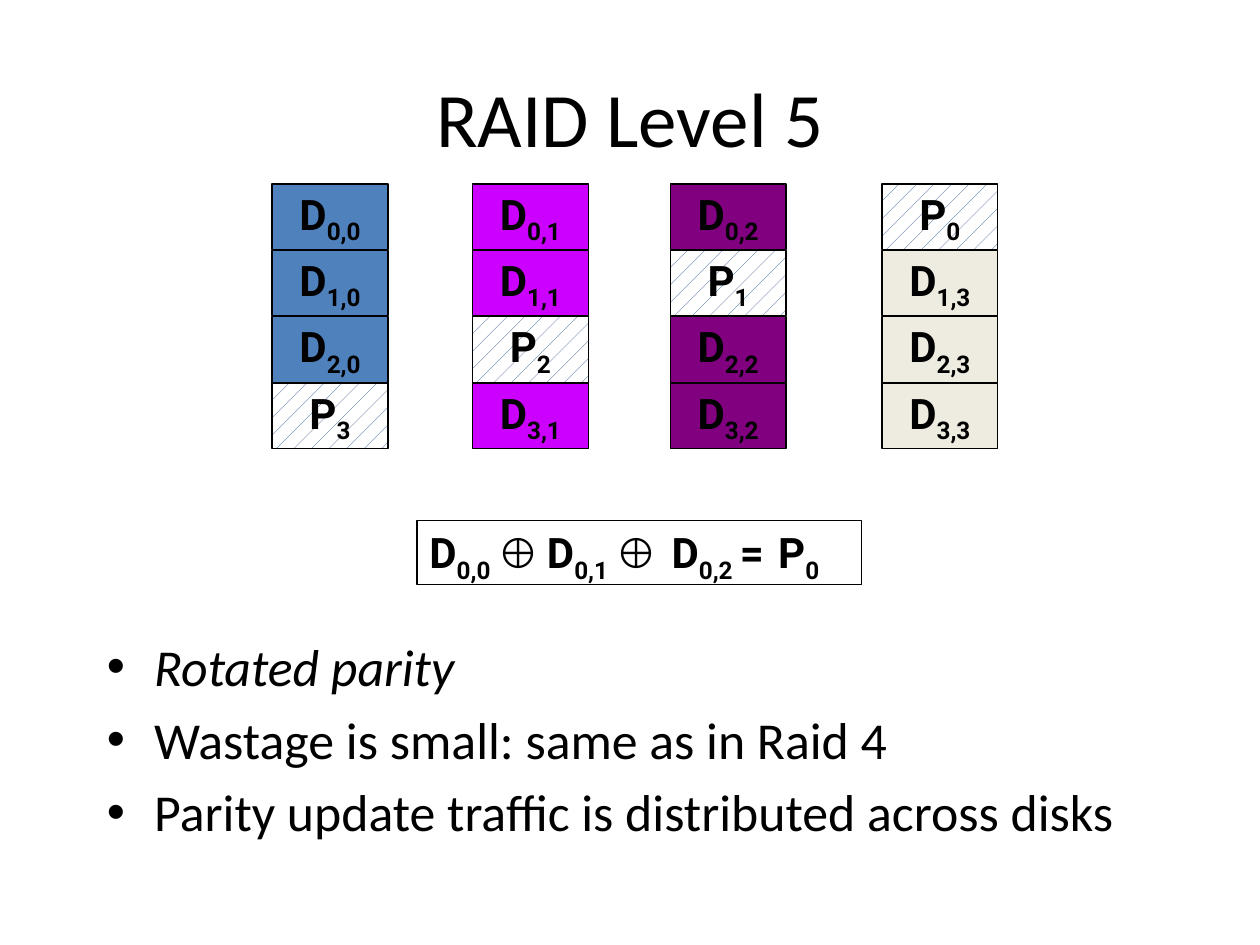
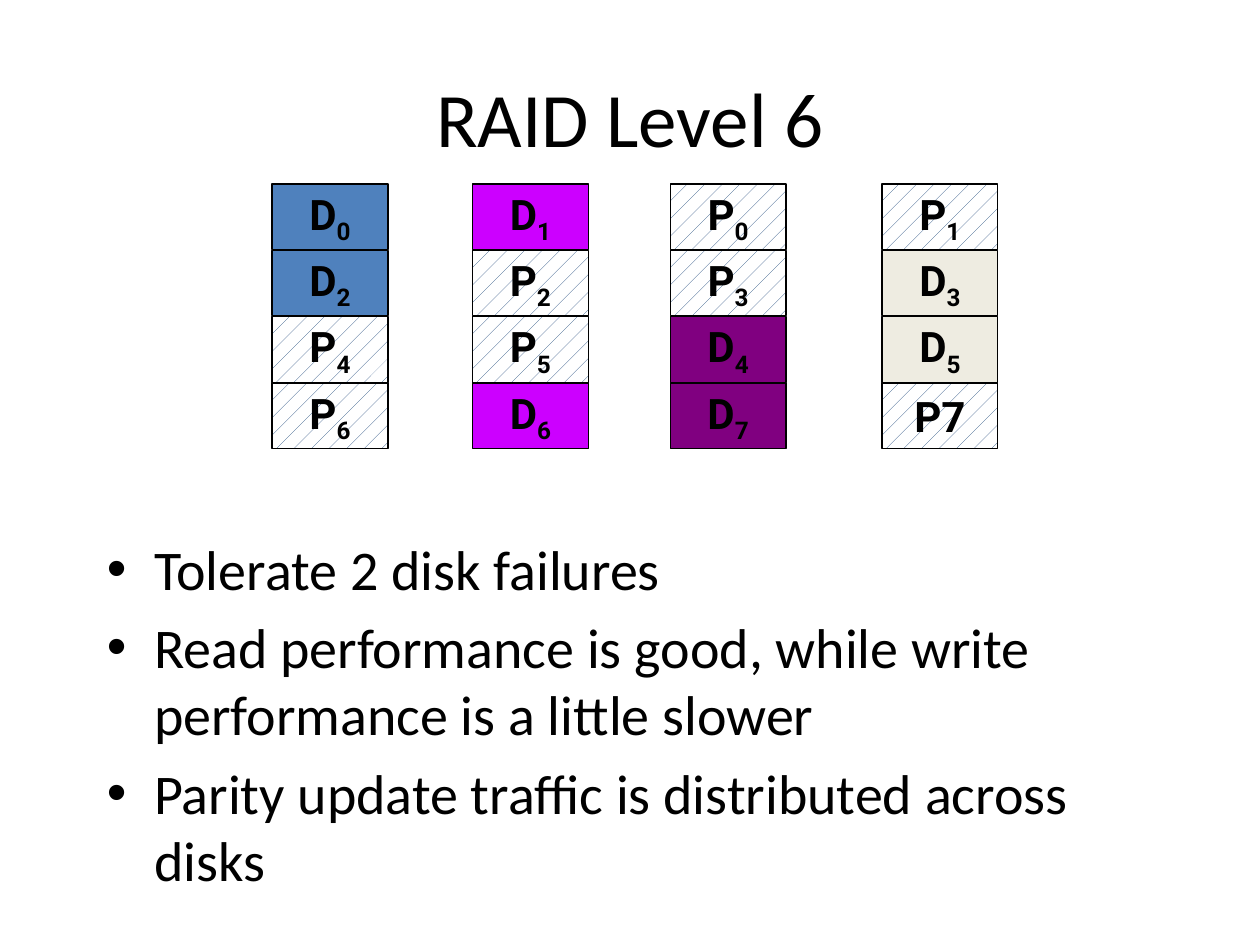
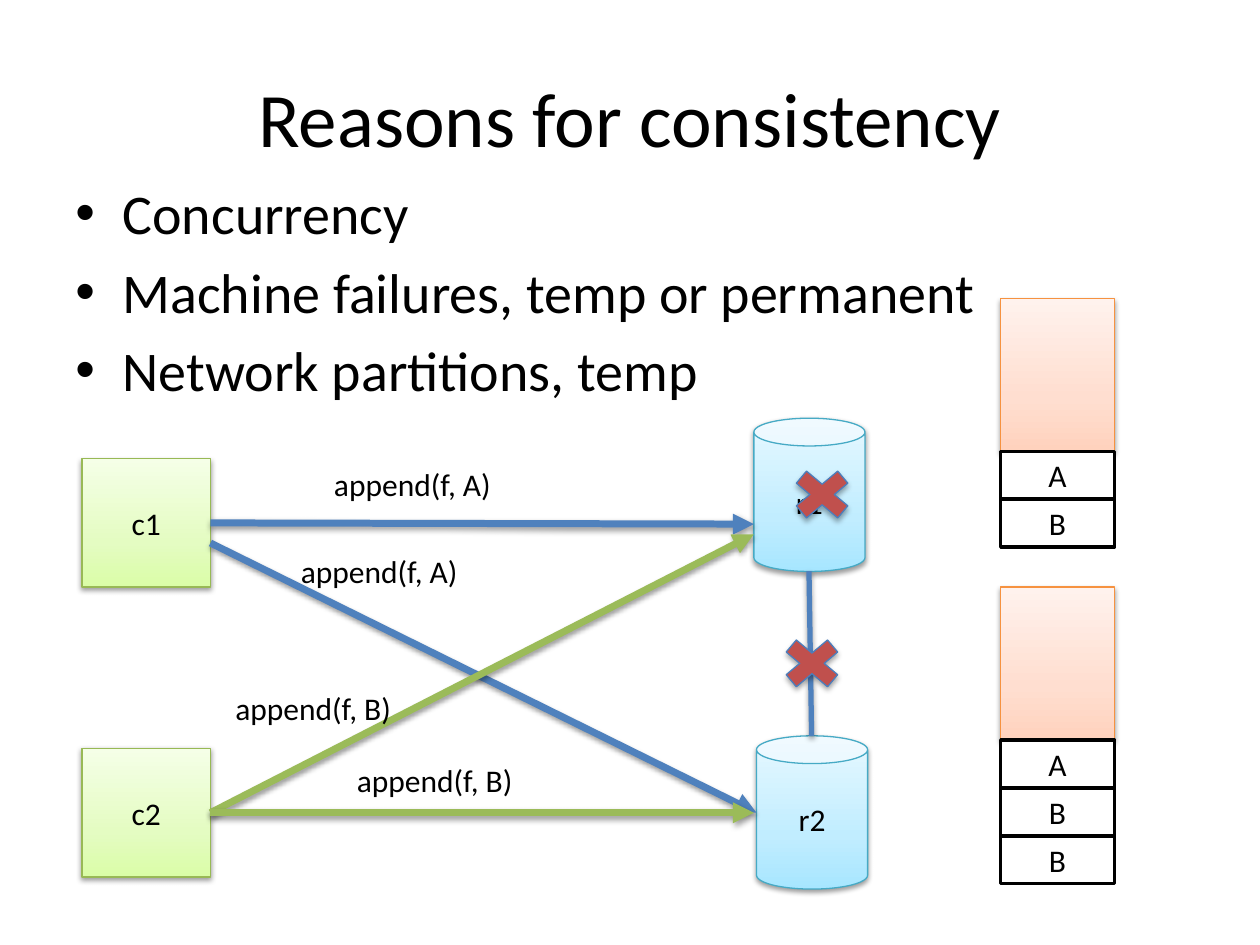
import pptx
import pptx.util
import pptx.dml.color
import pptx.enum.dml
import pptx.enum.shapes
import pptx.enum.text
import pptx.oxml
import pptx.oxml.ns

Pt = pptx.util.Pt
KIND = pptx.enum.shapes.MSO_SHAPE
ALIGN = pptx.enum.text.PP_ALIGN
ANCHOR = pptx.enum.text.MSO_ANCHOR
NS = pptx.oxml.ns.nsdecls("a")

INK = {
    "black": "000000", "white": "FFFFFF", "navy": "1F497D",
    "blue": "4F81BD", "pink": "CC00FF", "plum": "800080", "sand": "EEECE1",
    "green": "9BBB59", "red": "C0504D", "edge": "4B7EBC",
    "lime": "98B955", "teal": "46AAC5", "orange": "F69240",
}
FADE = {
    "lime": ("DAFDA7", "E4FCC2", "F5FFE7"),
    "teal": ("A7E6FF", "C1EDFF", "E7F8FF"),
    "orange": ("FFD2BD", "FFDED0", "FFF2ED"),
}
DISKS = (("blue", 0), ("pink", 114.5), ("plum", 227.5), ("sand", 348.5))
TITLE = (36, 21.6, 648, 90)
GRID = (155.5, 105.1, 66.2, 37.5)


def tint(name):
    """Return the named colour."""
    return pptx.dml.color.RGBColor.from_string(INK[name])


def write(para, text, size=18, face="Calibri", bold=False, slant=False, base=0, gap=0):
    """Add one styled run."""
    run = para.add_run()
    run.text = text
    font = run.font
    font.size, font.name, font.bold, font.italic = Pt(size), face, bold, slant
    font.color.rgb = tint("black")
    if base:
        font._element.set("baseline", str(base * 1000))
    if gap:
        font._element.set("spc", str(gap * 100))


def mark(para, code):
    """Add a letter and its lowered index."""
    head, *index = code.split()
    write(para, head, 24, "Roboto", True)
    for part in index:
        write(para, part, 24, "Roboto", True, base=-25)


def shade(shape, alpha=38, drop=1.6):
    """Give a shape or line a soft shadow."""
    shape._element.spPr.append(pptx.oxml.parse_xml(
        f'<a:effectLst {NS}><a:outerShdw blurRad="{Pt(3.1)}" dist="{Pt(drop)}" '
        f'dir="5400000" rotWithShape="0"><a:srgbClr val="{INK["black"]}">'
        f'<a:alpha val="{alpha * 1000}"/></a:srgbClr></a:outerShdw></a:effectLst>'))


def fade(shape, name):
    """Fill a shape with an upward three-stop gradient."""
    shape.fill.gradient()
    grad = shape._element.spPr.find(pptx.oxml.ns.qn("a:gradFill"))
    stops = "".join(
        f'<a:gs pos="{at * 1000}"><a:srgbClr val="{code}"/></a:gs>'
        for at, code in zip((0, 35, 100), FADE[name]))
    grad.getparent().replace(grad, pptx.oxml.parse_xml(
        f'<a:gradFill {NS} rotWithShape="1"><a:gsLst>{stops}</a:gsLst>'
        '<a:lin ang="16200000" scaled="0"/></a:gradFill>'))


def block(shapes, box, edge, fill=None, kind=KIND.RECTANGLE, width=0.75):
    """Draw an outlined shape with centred text."""
    shape = shapes.add_shape(kind, *map(Pt, box))
    shape.shadow.inherit = False
    shape.line.color.rgb = tint(edge)
    shape.line.width = Pt(width)
    if fill:
        shape.fill.solid()
        shape.fill.fore_color.rgb = tint(fill)
    else:
        shape.fill.background()
    shape.text_frame.vertical_anchor = ANCHOR.MIDDLE
    shape.text_frame.paragraphs[0].alignment = ALIGN.CENTER
    return shape


def glow(shapes, box, name, text="", kind=KIND.RECTANGLE):
    """Draw a gradient block with a shadow."""
    shape = block(shapes, box, name, kind=kind)
    fade(shape, name)
    shape._element.spPr.remove(shape._element.spPr.find(pptx.oxml.ns.qn("a:effectLst")))
    shade(shape)
    if text:
        write(shape.text_frame.paragraphs[0], text)


def title(slide, box, text):
    """Place the slide title."""
    frame = slide.shapes.add_textbox(*map(Pt, box)).text_frame
    frame.word_wrap = True
    frame.vertical_anchor = ANCHOR.MIDDLE
    para = frame.paragraphs[0]
    para.alignment = ALIGN.CENTER
    write(para, text, 44)


def points(slide, box, lines, size=32, slant=()):
    """Place a bulleted list."""
    frame = slide.shapes.add_textbox(*map(Pt, box)).text_frame
    frame.word_wrap = True
    for i, text in enumerate(lines):
        para = frame.add_paragraph() if i else frame.paragraphs[0]
        props = para._p.get_or_add_pPr()
        props.set("marL", str(Pt(27)))
        props.set("indent", str(Pt(-27)))
        for tag in ('buFont typeface="Arial"', 'buChar char="•"'):
            props.append(pptx.oxml.parse_xml(f"<a:{tag} {NS}/>"))
        if i:
            para.space_before = Pt(size * 0.2)
        write(para, text, size, slant=i in slant)


def array(slide, box, codes):
    """Draw the disks, one column of cells each, from the first cell's box."""
    left, top, wide, high = box
    for (name, shift), column in zip(DISKS, codes):
        group = slide.shapes.add_group_shape()
        for row, code in enumerate(column):
            spot = (left + shift, top + row * 37.9, wide, high)
            cell = block(group.shapes, spot, "black", name)
            if code[0] == "P":
                cell.fill.patterned()
                cell.fill.pattern = pptx.enum.dml.MSO_PATTERN.PERCENT_5
                cell.fill.fore_color.rgb = tint("navy")
                cell.fill.back_color.rgb = tint("white")
            cell.text_frame.word_wrap = False
            mark(cell.text_frame.paragraphs[0], code)


def sum_box(slide, box):
    """Write the parity formula in a frame."""
    shape = block(slide.shapes, box, "black")
    frame = shape.text_frame
    frame.word_wrap = True
    frame.vertical_anchor = ANCHOR.TOP
    para = frame.paragraphs[0]
    para.alignment = ALIGN.LEFT
    mark(para, "D 0,0")
    for code, sign, gap in (("D 0,1", "⊕", 0), ("D 0,2", "⊕", 4), ("P 0", "=", 4)):
        write(para, " ")
        write(para, sign, 24, "Roboto" if sign == "=" else "Arial", True)
        write(para, " ", gap=gap)
        mark(para, code)


def link(slide, start, end, name, width=4, arrow=True):
    """Draw a shadowed line or arrow."""
    line = slide.shapes.add_connector(
        pptx.enum.shapes.MSO_CONNECTOR.STRAIGHT, *map(Pt, start + end))
    line.line.color.rgb = tint(name)
    line.line.width = Pt(width)
    if arrow:
        line.line._get_or_add_ln().append(
            pptx.oxml.parse_xml(f'<a:tailEnd {NS} type="triangle"/>'))
    shade(line)


def label(slide, box, text):
    """Place a message label."""
    frame = slide.shapes.add_textbox(*map(Pt, box)).text_frame
    frame.word_wrap = True
    write(frame.paragraphs[0], text)


def log(slide, box, items):
    """Draw a replica's file with its appended records below."""
    left, top, wide, high = box
    glow(slide.shapes, box, "orange")
    for i, text in enumerate(items):
        spot = (left, top + high + i * 27.4, wide, 27.4)
        cell = block(slide.shapes, spot, "black", "white", width=2)
        write(cell.text_frame.paragraphs[0], text)


def cross(slide, box):
    """Mark a failure with a red cross."""
    shape = block(slide.shapes, box, "edge", "red", KIND.MATH_MULTIPLY)
    shape._element.spPr.remove(shape._element.spPr.find(pptx.oxml.ns.qn("a:effectLst")))
    shade(shape, 35, 1.8)


def net(slide, box):
    """Draw clients, replicas, messages and failures."""
    x, y, wide, high = box
    for text, dy in (("c1", 23), ("c2", 188.6)):
        glow(slide.shapes, (x, y + dy, 73.5, 73.5), "lime", text)
    for text, dx, dy in (("r1", 384, 0), ("r2", 385.5, 181.5)):
        glow(slide.shapes, (x + dx, y + dy, 63.5, 87.6), "teal", text, KIND.CAN)
    port = x + 73.5
    for dy, tip, name in ((59.8, (384, 60.5), "blue"), (71.3, (385.5, 225.4), "blue"),
                          (225.4, (384, 66.3), "green"), (225.4, (384, 225.4), "green")):
        link(slide, (port, y + dy), (x + tip[0], y + tip[1]), name)
    for dx, dy, item in ((137, 23, "A"), (118, 72.7, "A"), (80.6, 151.2, "B"), (150, 192.2, "B")):
        label(slide, (x + dx, y + dy, 113, 29), f"append(f, {item})")
    cross(slide, (x + 400.3, y + 24.5, 45.4, 38.2))
    link(slide, (x + 415.5, y + 87.4), (x + 417, y + 181.5), "blue", 3, False)
    cross(slide, (x + 394.5, y + 121, 45.4, 38.2))
    log(slide, (x + wide - 65, y - 68.5, 65, 87.4), "AB")
    log(slide, (x + wide - 65, y + 96.4, 65, 87.4), "ABB")


def main():
    """Build the three slides."""
    deck = pptx.Presentation()
    deck.slide_width, deck.slide_height = Pt(720), Pt(540)
    names = ("RAID Level 5", "RAID Level 6", "Reasons for consistency")
    slides = [deck.slides.add_slide(deck.slide_layouts[6]) for _ in names]
    for slide, name in zip(slides, names):
        title(slide, TITLE, name)
    five, six, why = slides
    spread = "Parity update traffic is distributed across disks"

    points(five, (54, 359.3, 612, 157),
           ("Rotated parity", "Wastage is small: same as in Raid 4", spread), 29.6, (0,))
    array(five, GRID, [[f"P {r}" if r + c == 3 else f"D {r},{c}" for r in range(4)]
                       for c in range(4)])
    sum_box(five, (238.3, 297.4, 254.2, 36.7))

    points(six, (54, 301.7, 612, 214),
           ("Tolerate 2 disk failures",
            "Read performance is good, while write performance is a little slower", spread))
    array(six, GRID, (("D 0", "D 2", "P 4", "P 6"), ("D 1", "P 2", "P 5", "D 6"),
                      ("P 0", "P 3", "D 4", "D 7"), ("P 1", "D 3", "D 5", "P7")))

    points(why, (36, 98.6, 648, 356.4),
           ("Concurrency", "Machine failures, temp or permanent", "Network partitions, temp"))
    net(why, (46.8, 239, 590, 269))
    deck.save("out.pptx")


if __name__ == "__main__":
    main()
